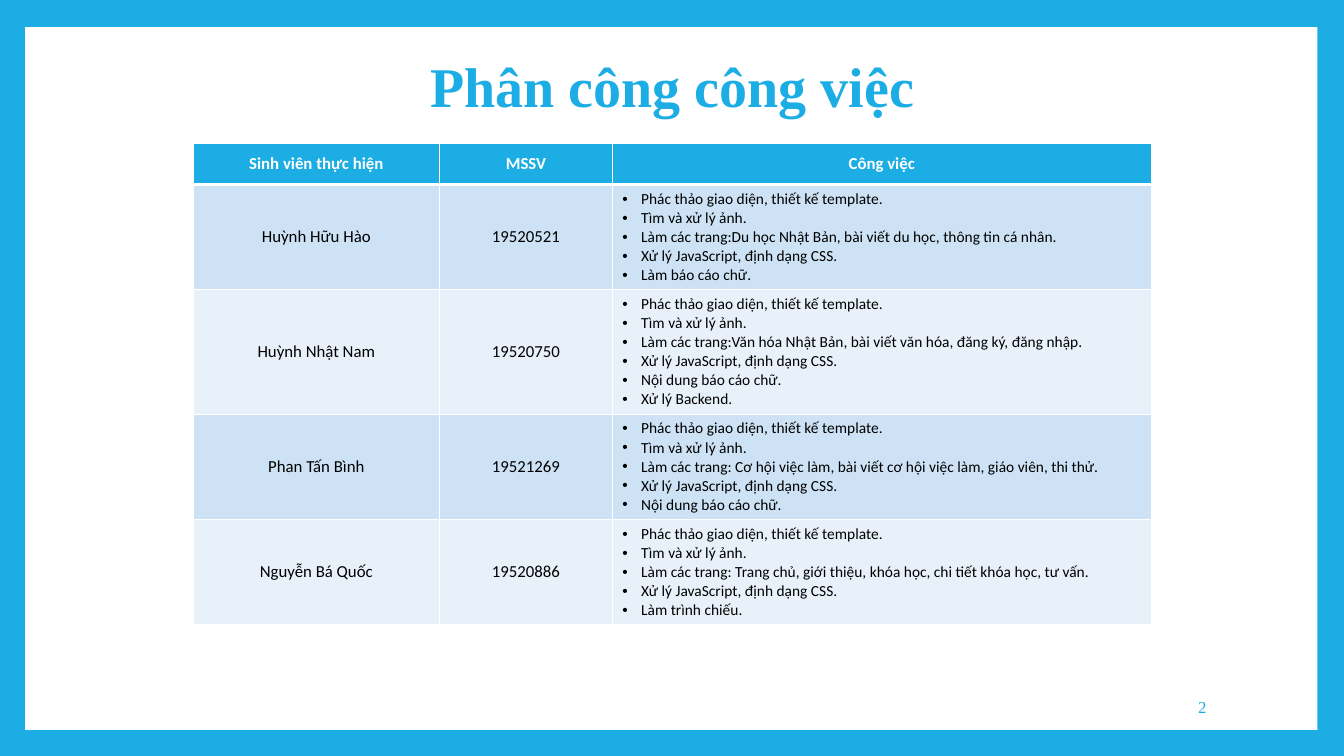
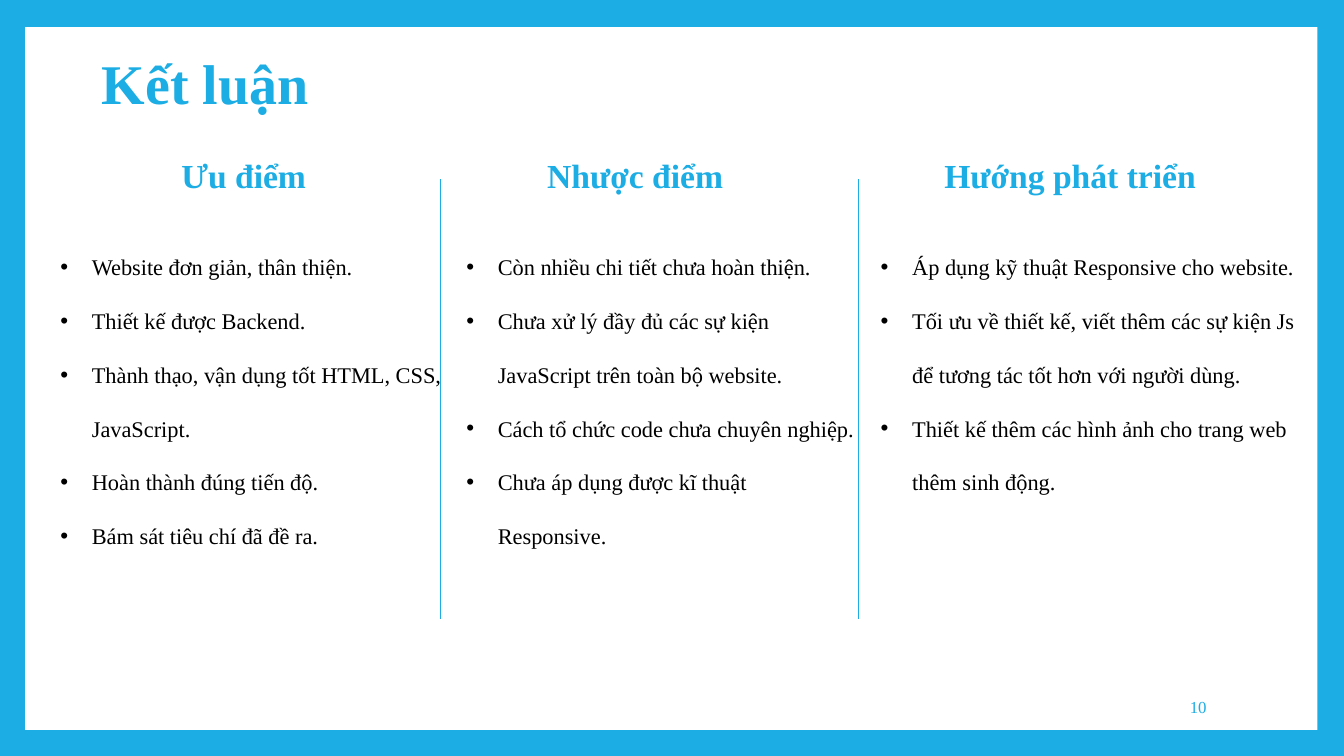
from lxml.etree import SubElement
from pptx import Presentation
from pptx.dml.color import RGBColor
from pptx.enum.shapes import MSO_CONNECTOR, MSO_SHAPE
from pptx.enum.text import MSO_ANCHOR, PP_ALIGN
from pptx.oxml.ns import qn
from pptx.util import Pt

HUES = {"blue": "1CADE4", "white": "FFFFFF", "black": "000000",
        "odd": "CDE3F5", "even": "E8F1FA"}
SERIF, SANS = "Times New Roman", "Calibri"

HEADS = ["Sinh viên thực hiện", "MSSV", "Công việc"]
START = ["Phác thảo giao diện, thiết kế template.", "Tìm và xử lý ảnh."]
CODE = "Xử lý JavaScript, định dạng CSS."
STAFF = [
    ("Huỳnh Hữu Hào", "19520521",
     "Làm các trang:Du học Nhật Bản, bài viết du học, thông tin cá nhân.",
     ["Làm báo cáo chữ."]),
    ("Huỳnh Nhật Nam", "19520750",
     "Làm các trang:Văn hóa Nhật Bản, bài viết văn hóa, đăng ký, đăng nhập.",
     ["Nội dung báo cáo chữ.", "Xử lý Backend."]),
    ("Phan Tấn Bình", "19521269",
     "Làm các trang: Cơ hội việc làm, bài viết cơ hội việc làm, giáo viên, thi thử.",
     ["Nội dung báo cáo chữ."]),
    ("Nguyễn Bá Quốc", "19520886",
     "Làm các trang: Trang chủ, giới thiệu, khóa học, chi tiết khóa học, tư vấn.",
     ["Làm trình chiếu."]),
]
WIDTHS = [176.4, 123.1, 385.2]
HEAD_H, LINE_H, PAD = 29.5, 13.6, 7.2

TOPICS = [
    ("Ưu điểm", (122.4, 121), (36, 287), [
        "Website đơn giản, thân thiện.",
        "Thiết kế được Backend.",
        "Thành thạo, vận dụng tốt HTML, CSS, JavaScript.",
        "Hoàn thành đúng tiến độ.",
        "Bám sát tiêu chí đã đề ra."]),
    ("Nhược điểm", (383.8, 147), (326, 293), [
        "Còn nhiều chi tiết chưa hoàn thiện.",
        "Chưa xử lý đầy đủ các sự kiện JavaScript trên toàn bộ website.",
        "Cách tổ chức code chưa chuyên nghiệp.",
        "Chưa áp dụng được kĩ thuật Responsive."]),
    ("Hướng phát triển", (667.4, 206), (622, 313), [
        "Áp dụng kỹ thuật Responsive cho website.",
        "Tối ưu về thiết kế, viết thêm các sự kiện Js để tương tác tốt hơn với người dùng.",
        "Thiết kế thêm các hình ảnh cho trang web thêm sinh động."]),
]
RULES = [314.6, 613.4]


def hue(name):
    return RGBColor.from_string(HUES[name])


def paint(fill, name):
    fill.solid()
    fill.fore_color.rgb = hue(name)


def write(frame, lines, size, color, face=SERIF, bold=False,
          align=PP_ALIGN.LEFT, space=None, hang=0):
    frame.text = "\n".join(lines)
    for para in frame.paragraphs:
        para.alignment = align
        if space:
            para.line_spacing = space
        if hang:
            props = para._p.get_or_add_pPr()
            props.set("marL", str(Pt(hang)))
            props.set("indent", str(-Pt(hang)))
            SubElement(props, qn("a:buFont"), typeface="Arial")
            SubElement(props, qn("a:buChar"), char="•")
        for run in para.runs:
            font = run.font
            font.name, font.size, font.bold = face, Pt(size), bold
            font.color.rgb = hue(color)


def add_box(slide, left, top, width, height, lines, size, color, **style):
    frame = slide.shapes.add_textbox(Pt(left), Pt(top), Pt(width), Pt(height)).text_frame
    frame.word_wrap = True
    write(frame, lines, size, color, **style)
    return frame


def add_page(deck, name, left, top, align, number):
    slide = deck.slides.add_slide(deck.slide_layouts[5])
    panel = slide.shapes.add_shape(MSO_SHAPE.RECTANGLE, Pt(18), Pt(19.4), Pt(923), Pt(502))
    panel.shadow.inherit = False
    paint(panel.fill, "white")
    panel.line.fill.background()
    slide.shapes._spTree.insert(2, panel._element)
    title = slide.shapes.title
    title.left, title.top, title.width, title.height = Pt(left), Pt(top), Pt(777.6), Pt(106.6)
    title.text_frame.vertical_anchor = MSO_ANCHOR.MIDDLE
    write(title.text_frame, [name], 40, "blue", bold=True, align=align, space=0.9)
    foot = add_box(slide, 734.4, 490.3, 134.6, 28.8, [number], 12, "blue", align=PP_ALIGN.RIGHT)
    foot.vertical_anchor = MSO_ANCHOR.MIDDLE
    return slide


def edge(cell, base):
    props = cell._tc.get_or_add_tcPr()
    for side, width in (("L", 1), ("R", 1), ("T", 1), ("B", base)):
        line = SubElement(props, qn("a:ln" + side), w=str(Pt(width)))
        SubElement(SubElement(line, qn("a:solidFill")), qn("a:srgbClr"), val=HUES["white"])


def add_duties(slide):
    rows = [[[head] for head in HEADS]]
    rows += [[[name], [code], START + [pages, CODE] + rest]
             for name, code, pages, rest in STAFF]
    highs = [HEAD_H] + [LINE_H * len(row[2]) + PAD for row in rows[1:]]
    table = slide.shapes.add_table(len(rows), len(HEADS), Pt(137.8), Pt(102.4),
                                   Pt(sum(WIDTHS)), Pt(sum(highs))).table
    for col, width in zip(table.columns, WIDTHS):
        col.width = Pt(width)
    for r, row in enumerate(rows):
        table.rows[r].height = Pt(highs[r])
        for c, lines in enumerate(row):
            cell = table.cell(r, c)
            edge(cell, 1 if r else 3)
            paint(cell.fill, ("odd" if r % 2 else "even") if r else "blue")
            if r and c == 2:
                write(cell.text_frame, lines, 11, "black", face=SANS, hang=13.5)
            else:
                cell.vertical_anchor = MSO_ANCHOR.MIDDLE
                write(cell.text_frame, lines, 12, "black" if r else "white",
                      face=SANS, bold=not r, align=PP_ALIGN.CENTER)


def add_topics(slide):
    for head, (left, width), (start, span), points in TOPICS:
        add_box(slide, left, 92.9, width, 45.4, [head], 24, "blue", bold=True, space=1.5)
        add_box(slide, start, 158.4, span, 270, points, 16, "black", space=2.0, hang=22.5)
    for x in RULES:
        rule = slide.shapes.add_connector(MSO_CONNECTOR.STRAIGHT, Pt(x), Pt(128), Pt(x), Pt(442))
        rule.line.color.rgb = hue("blue")
        rule.line.width = Pt(1)
        SubElement(rule._element.spPr, qn("a:effectLst"))


def main():
    deck = Presentation()
    deck.slide_width, deck.slide_height = Pt(960), Pt(540)
    paint(deck.slide_master.background.fill, "blue")
    add_duties(add_page(deck, "Phân công công việc", 91.4, 10.8, PP_ALIGN.CENTER, "2"))
    add_topics(add_page(deck, "Kết luận", 65.5, 8.6, PP_ALIGN.LEFT, "10"))
    deck.save("out.pptx")


if __name__ == "__main__":
    main()
